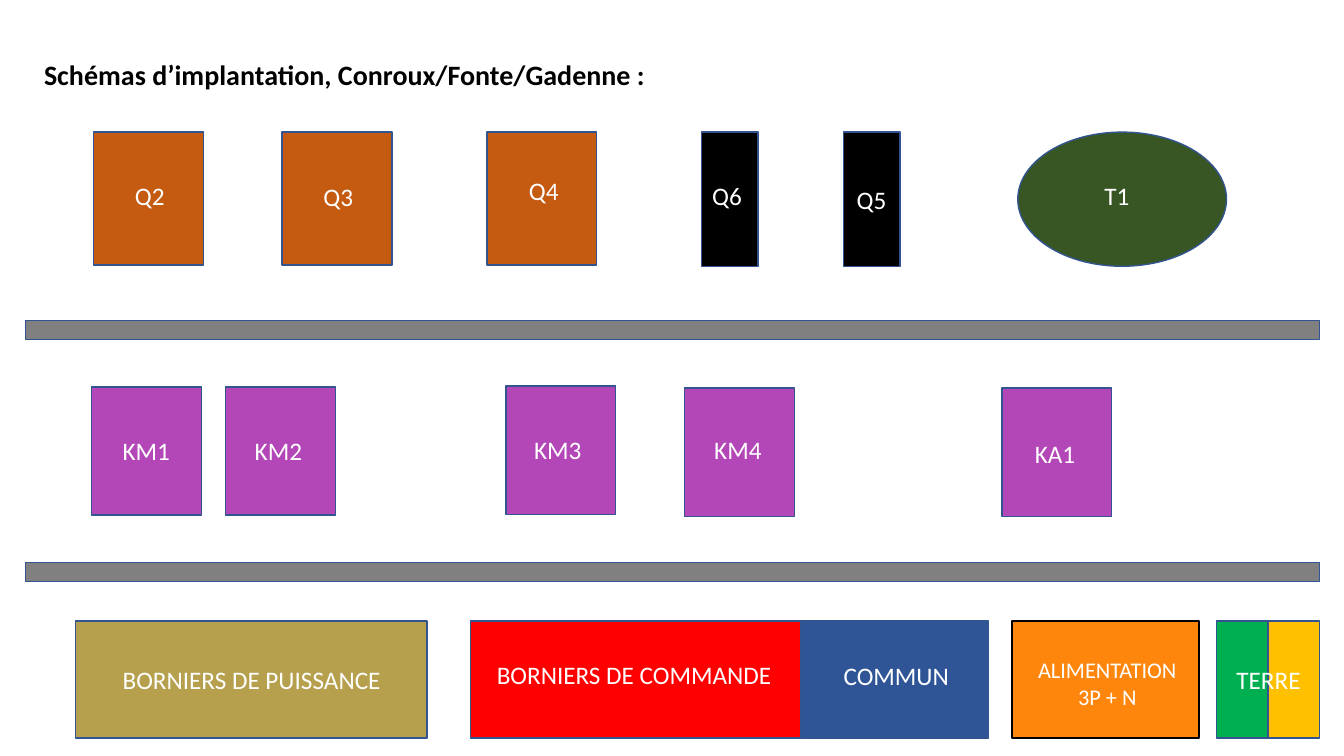
"""Draw the layout of an electrical cabinet: breakers, contactors and terminal blocks."""
from dataclasses import dataclass
from typing import Optional

import pptx
import pptx.dml.color
import pptx.enum.shapes
import pptx.enum.text
import pptx.util
from pptx.util import Cm

RECTANGLE = pptx.enum.shapes.MSO_SHAPE.RECTANGLE
OVAL = pptx.enum.shapes.MSO_SHAPE.OVAL


@dataclass(frozen=True)
class Theme:
    font: str = "Calibri"
    title_size: int = 20
    label_size: int = 18
    small_size: int = 16
    outline_width: float = 1
    outline: str = "325490"
    black: str = "000000"
    white: str = "FFFFFF"
    breaker: str = "C55A11"
    transformer: str = "385623"
    gutter: str = "808080"
    contactor: str = "B447B7"
    power: str = "B6A04E"
    command: str = "FF0000"
    common: str = "2F5597"
    supply: str = "FF860D"
    earth_green: str = "00B050"
    earth_yellow: str = "FFC000"


THEME = Theme()


@dataclass(frozen=True)
class Block:
    left: float
    top: float
    width: float
    height: float
    fill: str
    outline: str = THEME.outline
    kind: pptx.enum.shapes.MSO_SHAPE = RECTANGLE


@dataclass(frozen=True)
class Label:
    text: str
    left: float
    top: float
    width: float
    height: float = 1.02
    size: int = THEME.label_size
    color: str = THEME.white
    bold: bool = False
    centered: bool = False
    fill: Optional[str] = None


TERMINAL_TOP, TERMINAL_HEIGHT = 15.65, 2.95

BLOCKS = [
    *(Block(left, 3.33, 2.77, 3.35, THEME.breaker) for left in (2.36, 7.11, 12.27)),
    *(Block(left, 3.33, 1.42, 3.38, THEME.black) for left in (17.68, 21.26)),
    Block(25.65, 3.33, 5.26, 3.38, THEME.transformer, kind=OVAL),
    *(Block(0.64, top, 32.61, 0.48, THEME.gutter) for top in (8.08, 14.17)),
    *(Block(left, top, 2.77, 3.23, THEME.contactor) for left, top in (
        (2.31, 9.75), (5.69, 9.75), (12.75, 9.73), (17.25, 9.78), (25.25, 9.78))),
    *(Block(left, TERMINAL_TOP, width, TERMINAL_HEIGHT, fill, outline)
      for left, width, fill, outline in (
        (1.9, 8.86, THEME.power, THEME.outline),
        (11.86, 8.31, THEME.command, THEME.outline),
        (20.19, 4.72, THEME.common, THEME.outline),
        (25.5, 4.72, THEME.supply, THEME.black),
        (31.95, 1.3, THEME.earth_yellow, THEME.outline),
        (30.66, 1.3, THEME.earth_green, THEME.outline))),
]

LABELS = [
    Label("Schémas d’implantation, Conroux/Fonte/Gadenne :", 0.86, 1.32, 33.17, 1.09,
          size=THEME.title_size, color=THEME.black, bold=True),
    Label("Q2", 3.15, 4.42, 1.93, 1.78),
    Label("Q3", 7.9, 4.45, 1.32),
    Label("Q4", 13.08, 4.29, 1.55),
    Label("Q6", 17.7, 4.42, 1.42),
    Label("Q5", 21.34, 4.52, 1.42),
    Label("T1", 27.58, 4.42, 2.06),
    Label("KM1", 2.84, 10.85, 1.83),
    Label("KM2", 6.17, 10.85, 1.93),
    Label("KM3", 13.21, 10.82, 1.91),
    Label("KM4", 17.75, 10.82, 1.75),
    Label("KA1", 25.83, 10.92, 1.73),
    Label("BORNIERS DE PUISSANCE", 2.84, 16.61, 7.62),
    Label("BORNIERS DE COMMANDE", 12.27, 16.48, 7.67),
    Label("COMMUN", 21.01, 16.51, 3.18, fill=THEME.common),
    Label("ALIMENTATION 3P + N", 25.81, 16.41, 4.19, 1.6,
          size=THEME.small_size, centered=True, fill=THEME.supply),
    Label("TERRE", 30.91, 16.61, 2.31),
]


def rgb(color: str) -> pptx.dml.color.RGBColor:
    """Return the colour object for a hexadecimal code."""
    return pptx.dml.color.RGBColor.from_string(color)


def write_text(frame, text: str, *, size: int, color: str, bold: bool, centered: bool) -> None:
    """Put one formatted paragraph into a text frame."""
    frame.word_wrap = True
    frame.auto_size = pptx.enum.text.MSO_AUTO_SIZE.SHAPE_TO_FIT_TEXT
    para = frame.paragraphs[0]
    align = pptx.enum.text.PP_ALIGN
    para.alignment = align.CENTER if centered else align.LEFT
    span = para.add_run()
    span.text = text
    span.font.name = THEME.font
    span.font.size = pptx.util.Pt(size)
    span.font.bold = bold
    span.font.color.rgb = rgb(color)


def draw_block(page, block: Block) -> None:
    """Draw one outlined component."""
    shape = page.shapes.add_shape(block.kind, Cm(block.left), Cm(block.top),
                                  Cm(block.width), Cm(block.height))
    shape.shadow.inherit = False
    shape.fill.solid()
    shape.fill.fore_color.rgb = rgb(block.fill)
    shape.line.color.rgb = rgb(block.outline)
    shape.line.width = pptx.util.Pt(THEME.outline_width)


def draw_label(page, label: Label) -> None:
    """Draw one text box, filled when the label has a fill."""
    box = page.shapes.add_textbox(Cm(label.left), Cm(label.top),
                                  Cm(label.width), Cm(label.height))
    if label.fill:
        box.fill.solid()
        box.fill.fore_color.rgb = rgb(label.fill)
    write_text(box.text_frame, label.text, size=label.size, color=label.color,
               bold=label.bold, centered=label.centered)


def main() -> None:
    """Build the deck and save it."""
    deck = pptx.Presentation()
    deck.slide_width, deck.slide_height = Cm(33.87), Cm(19.05)
    page = deck.slides.add_slide(deck.slide_layouts[6])
    for block in BLOCKS:
        draw_block(page, block)
    for label in LABELS:
        draw_label(page, label)
    deck.save("out.pptx")


if __name__ == "__main__":
    main()
